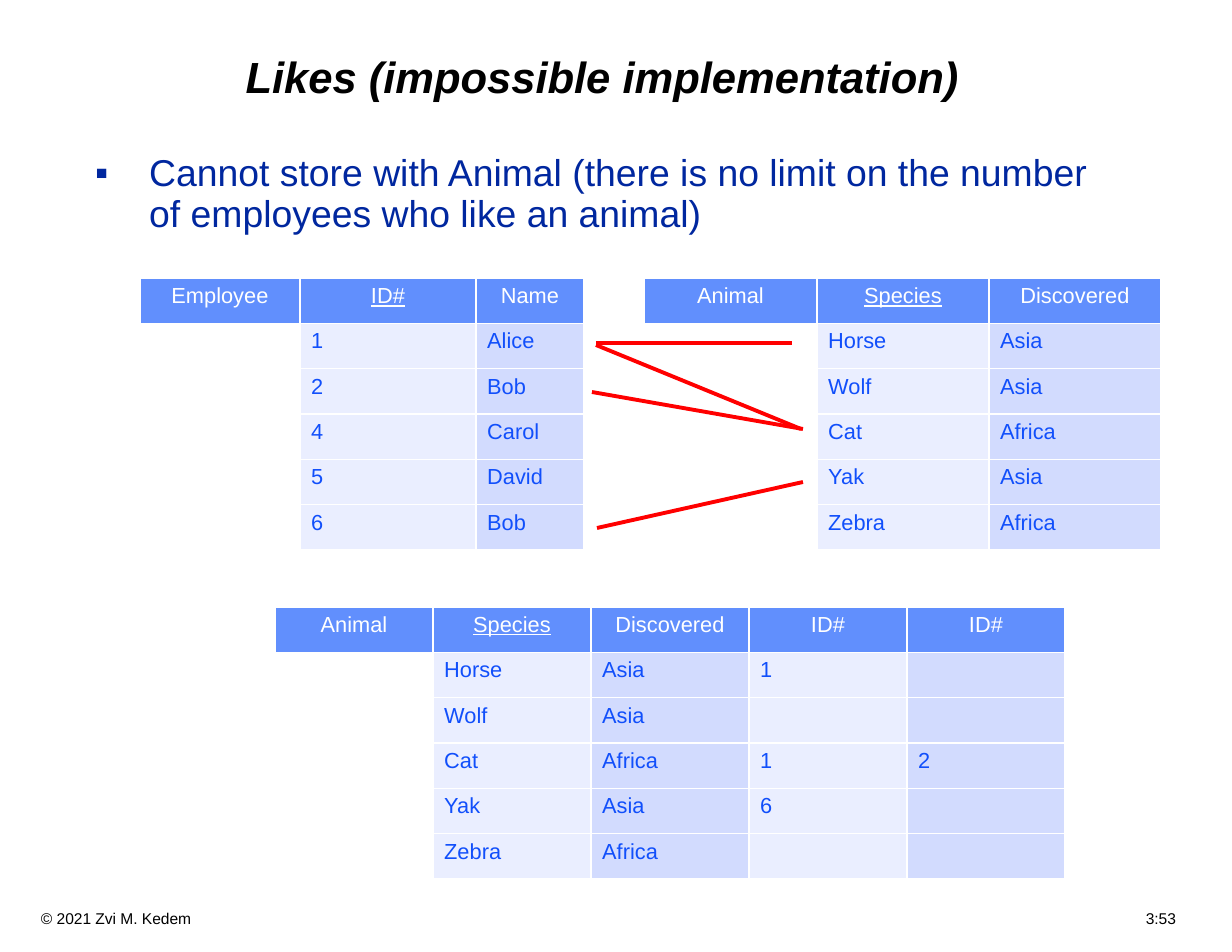
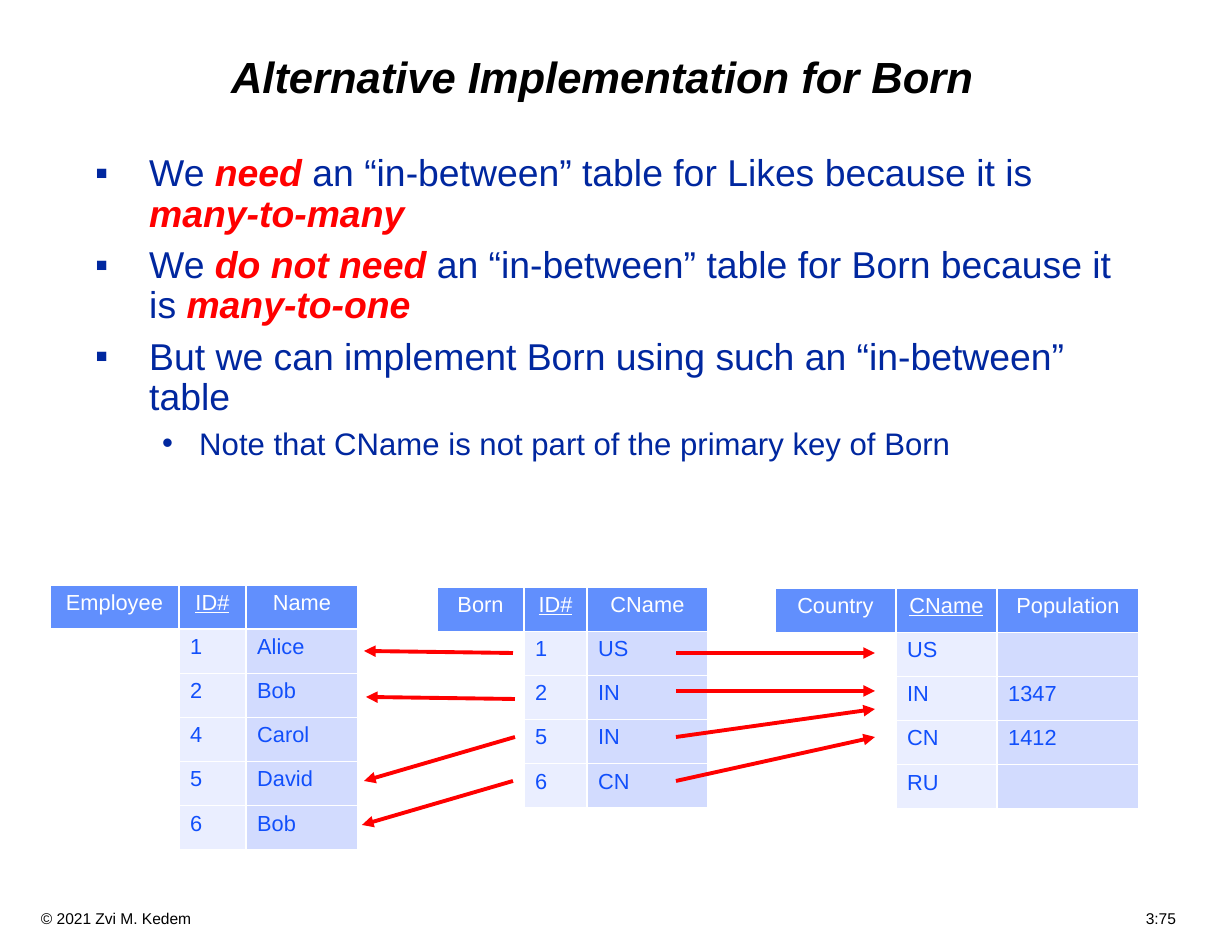
from dataclasses import dataclass

from lxml.etree import SubElement
from pptx import Presentation
from pptx.dml.color import RGBColor
from pptx.enum.shapes import MSO_CONNECTOR
from pptx.enum.text import MSO_ANCHOR, MSO_AUTO_SIZE, PP_ALIGN
from pptx.oxml.ns import qn
from pptx.util import Emu, Pt


@dataclass(frozen=True)
class Theme:
    font: str = "Arial"
    black: RGBColor = RGBColor(0x00, 0x00, 0x00)
    white: RGBColor = RGBColor(0xFF, 0xFF, 0xFF)
    navy: RGBColor = RGBColor(0x00, 0x27, 0x9F)
    red: RGBColor = RGBColor(0xFF, 0x00, 0x00)
    header_fill: RGBColor = RGBColor(0x61, 0x8F, 0xFD)
    cell_text: RGBColor = RGBColor(0x11, 0x4F, 0xFB)
    pale_fill: RGBColor = RGBColor(0xEA, 0xEE, 0xFF)
    deep_fill: RGBColor = RGBColor(0xD2, 0xDB, 0xFE)
    title_size: int = 28
    bullet_sizes: tuple = (24, 20)
    table_size: int = 14
    footer_size: int = 10
    link_width: float = 2.5


THEME = Theme()
SLIDE_WIDTH, SLIDE_HEIGHT = 1232, 952
BULLETS = (("▪", 54, -54), ("•", 104, -37))  # mark, margin, indent per level
COPYRIGHT = "© 2021 Zvi M. Kedem"

EMPLOYEE_HEADER = ("Employee", "ID#", "Name")
EMPLOYEES = (("1", "Alice"), ("2", "Bob"), ("4", "Carol"), ("5", "David"), ("6", "Bob"))
ANIMAL_HEADER = ("Animal", "Species", "Discovered")
ANIMALS = (("Horse", "Asia"), ("Wolf", "Asia"), ("Cat", "Africa"),
           ("Yak", "Asia"), ("Zebra", "Africa"))
LIKED_BY = (("1", ""), ("", ""), ("1", "2"), ("6", ""), ("", ""))
BIRTHS = (("1", "US"), ("2", "IN"), ("5", "IN"), ("6", "CN"))
COUNTRIES = (("US", ""), ("IN", "1347"), ("CN", "1412"), ("RU", ""))


def px(length):
    return Emu(round(length * 914400 / 112))


def place(shape, left, top, width, height):
    shape.left, shape.top = px(left), px(top)
    shape.width, shape.height = px(width), px(height)


def style(font, size, color, bold=False, italic=False):
    font.name = THEME.font
    font.size = Pt(size)
    font.color.rgb = color
    font.bold = bold
    font.italic = italic


def add_title(slide, wording):
    title = slide.shapes.title
    place(title, 84, 28, 1036, 103)
    frame = title.text_frame
    frame.auto_size = MSO_AUTO_SIZE.NONE
    frame.vertical_anchor = MSO_ANCHOR.MIDDLE
    frame.text = wording
    heading = frame.paragraphs[0]
    heading.alignment = PP_ALIGN.CENTER
    heading.line_spacing = 0.9
    style(heading.font, THEME.title_size, THEME.black, bold=True, italic=True)


def set_bullet(paragraph, level):
    mark, margin, indent = BULLETS[level]
    properties = paragraph._p.get_or_add_pPr()
    properties.set("marL", str(px(margin)))
    properties.set("indent", str(px(indent)))
    SubElement(properties, qn("a:buFont"), typeface=THEME.font)
    SubElement(properties, qn("a:buChar"), char=mark)


def add_bullets(slide, items):
    """Fill the body with (level, wording) items; *stars* enclose emphasis."""
    body = slide.placeholders[1]
    place(body, 84, 149, 1045, 747)
    frame = body.text_frame
    frame.auto_size = MSO_AUTO_SIZE.NONE
    for index, (level, wording) in enumerate(items):
        point = frame.add_paragraph() if index else frame.paragraphs[0]
        size = THEME.bullet_sizes[level]
        point.level = level
        point.line_spacing = 0.9
        point.space_before = Pt(0.3 * size if index else 0)
        set_bullet(point, level)
        style(point.font, size, THEME.navy)
        for part, phrase in enumerate(wording.split("*")):
            if not phrase:
                continue
            run = point.add_run()
            run.text = phrase
            if part % 2:
                run.font.bold = run.font.italic = True
                run.font.color.rgb = THEME.red


def add_footer(slide, page):
    footer = slide.shapes.add_textbox(px(0), px(903), px(SLIDE_WIDTH), px(30))
    frame = footer.text_frame
    frame.word_wrap = True
    frame.margin_left = px(41)
    line = frame.paragraphs[0]
    line.text = f"{COPYRIGHT}\t{page}"
    tabs = SubElement(line._p.get_or_add_pPr(), qn("a:tabLst"))
    SubElement(tabs, qn("a:tab"), pos=str(px(1135)), algn="r")
    style(line.font, THEME.footer_size, THEME.black)


def fill_cell(cell, wording, fill, color):
    cell.fill.solid()
    cell.fill.fore_color.rgb = fill
    cell.text = wording
    paragraph = cell.text_frame.paragraphs[0]
    style(paragraph.font, THEME.table_size, color)
    return paragraph


def add_relation(slide, left, top, height, widths, header, rows):
    """Draw a relation: its name and columns on top, no cells under the name."""
    frame = slide.shapes.add_table(len(rows) + 1, len(header), px(left), px(top),
                                   px(sum(widths)), px(height))
    table = frame.table
    for column, (width, label) in enumerate(zip(widths, header)):
        table.columns[column].width = px(width)
        heading = fill_cell(table.cell(0, column), label, THEME.header_fill, THEME.white)
        heading.alignment = PP_ALIGN.CENTER
        heading.font.underline = column == 1  # the primary key
    for row, values in enumerate(rows, start=1):
        for column, value in enumerate(("", *values)):
            if column == 0:
                fill = THEME.white
            else:
                fill = THEME.pale_fill if column % 2 else THEME.deep_fill
            fill_cell(table.cell(row, column), value, fill, THEME.cell_text)


def add_links(slide, links, arrow=False):
    for start_x, start_y, end_x, end_y in links:
        link = slide.shapes.add_connector(MSO_CONNECTOR.STRAIGHT, px(start_x), px(start_y),
                                          px(end_x), px(end_y))
        link.line.color.rgb = THEME.red
        link.line.width = Pt(THEME.link_width)
        if arrow:
            SubElement(link.line._get_or_add_ln(), qn("a:tailEnd"), type="triangle")
        SubElement(link._element.spPr, qn("a:effectLst"))


def add_page(deck, title, bullets, page):
    slide = deck.slides.add_slide(deck.slide_layouts[1])
    add_title(slide, title)
    add_bullets(slide, bullets)
    add_footer(slide, page)
    return slide


def build_likes(deck):
    slide = add_page(deck, "Likes (impossible implementation)", [
        (0, "Cannot store with Animal (there is no limit on the number "
            "of employees who like an animal)"),
    ], "3:53")
    add_relation(slide, 644, 278, 272, (173, 172, 172), ANIMAL_HEADER, ANIMALS)
    add_relation(slide, 140, 278, 272, (160, 176, 108), EMPLOYEE_HEADER, EMPLOYEES)
    add_links(slide, [
        (596, 345, 801, 429),
        (592, 392, 803, 429),
        (597, 528, 803, 482),
        (596, 343, 792, 343),
    ])
    liked_animals = [animal + likers for animal, likers in zip(ANIMALS, LIKED_BY)]
    add_relation(slide, 275, 607, 272, [158] * 5, (*ANIMAL_HEADER, "ID#", "ID#"),
                 liked_animals)


def build_born(deck):
    slide = add_page(deck, "Alternative Implementation for Born", [
        (0, "We *need* an “in-between” table for Likes because it is *many-to-many*"),
        (0, "We *do not need* an “in-between” table for Born because it is *many-to-one*"),
        (0, "But we can implement Born using such an “in-between” table"),
        (1, "Note that CName is not part of the primary key of Born"),
    ], "3:75")
    add_relation(slide, 50, 585, 265, (129, 67, 112), EMPLOYEE_HEADER, EMPLOYEES)
    add_relation(slide, 437, 587, 221, (87, 63, 121), ("Born", "ID#", "CName"), BIRTHS)
    add_relation(slide, 775, 588, 221, (121, 101, 142),
                 ("Country", "CName", "Population"), COUNTRIES)
    to_country = ((653, 653), (691, 691), (737, 709), (781, 737))
    add_links(slide, [(676, start, 875, end) for start, end in to_country], arrow=True)
    add_links(slide, [
        (513, 653, 364, 651),
        (515, 699, 366, 697),
        (515, 737, 364, 781),
        (513, 781, 362, 825),
    ], arrow=True)


def main():
    deck = Presentation()
    deck.slide_width, deck.slide_height = px(SLIDE_WIDTH), px(SLIDE_HEIGHT)
    build_likes(deck)
    build_born(deck)
    deck.save("out.pptx")


if __name__ == "__main__":
    main()
